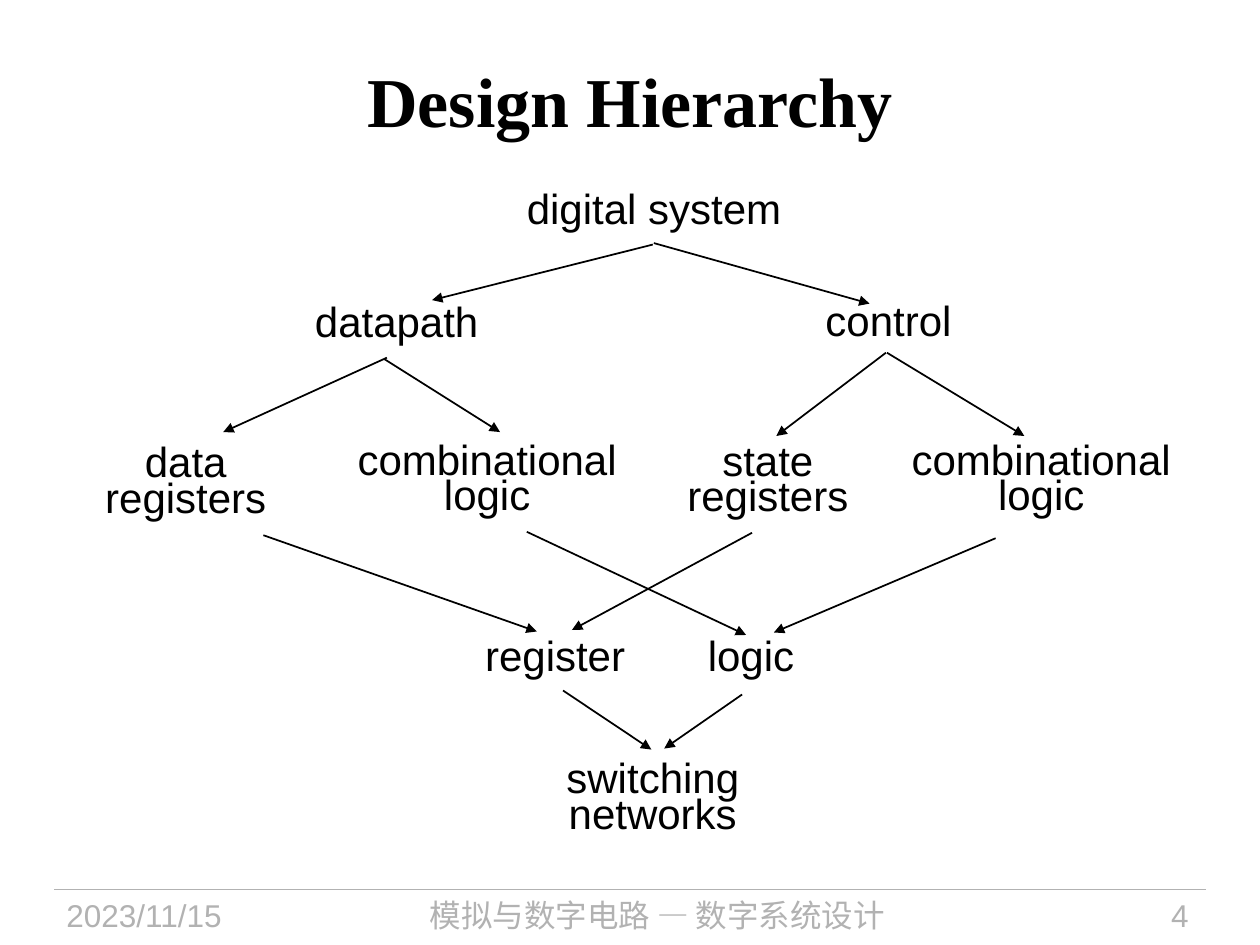
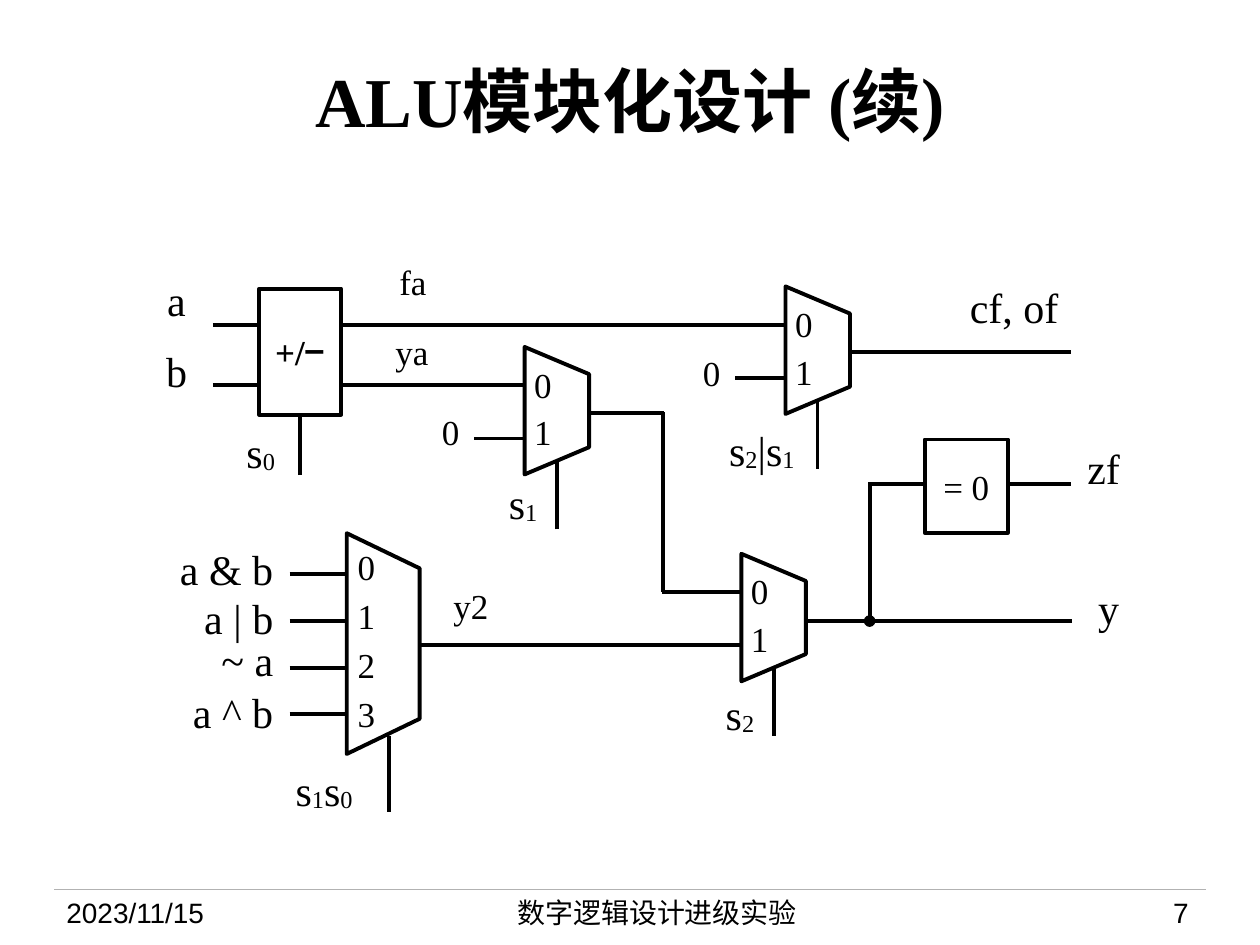
from itertools import groupby

from pptx import Presentation
from pptx.dml.color import RGBColor
from pptx.enum.shapes import MSO_CONNECTOR, MSO_SHAPE
from pptx.enum.text import MSO_ANCHOR, PP_ALIGN
from pptx.oxml.xmlchemy import OxmlElement
from pptx.util import Cm, Pt

STRAIGHT = MSO_CONNECTOR.STRAIGHT
RECTANGLE, TRAPEZOID = MSO_SHAPE.RECTANGLE, MSO_SHAPE.TRAPEZOID
TOP, MIDDLE = MSO_ANCHOR.TOP, MSO_ANCHOR.MIDDLE
LEFT, CENTER, RIGHT = PP_ALIGN.LEFT, PP_ALIGN.CENTER, PP_ALIGN.RIGHT

COLORS = {"ink": "000000", "muted": "B2B2B2", "paper": "FFFFFF"}
SANS, SERIF, CHINESE = "Arial", "Times New Roman", "Noto Sans CJK SC"
SUBSCRIPTS = {"₀": "0", "₁": "1", "₂": "2"}
GRID_CM = 2.54
TITLE_BOX = (0.5, 0.3, 9, 0.98)
FOOTER_RULE = (0.43, 7.06, 9.57, 7.06)
FOOTER_BOXES = [
    ((0.43, 7.06, 1.88, 0.44), LEFT),
    ((2.4, 7.06, 5.63, 0.44), CENTER),
    ((8.2, 7.06, 1.33, 0.44), RIGHT),
]
NODE_INSETS = (0.02, 0.03)
DEFAULT_INSETS = (0.1, 0.05)

HIERARCHY = {
    "title": "Design Hierarchy",
    "footer": ("2023/11/15", "模拟与数字电路 — 数字系统设计", "4"),
    "footer_format": {"size": 18, "color": "muted"},
    "footer_font": CHINESE,
}
HIERARCHY_NODES = [
    ("digital system", (4.16, 1.58, 2.4, 0.31)),
    ("datapath", (2.48, 2.48, 1.45, 0.34)),
    ("control", (6.53, 2.47, 1.11, 0.34)),
    ("data\nregisters", (0.56, 3.43, 1.83, 0.84)),
    ("combinational\nlogic", (2.68, 3.44, 2.37, 0.77)),
    ("state\nregisters", (5.26, 3.45, 1.67, 0.77)),
    ("combinational\nlogic", (7.08, 3.44, 2.37, 0.77)),
    ("register", (3.83, 5.13, 1.2, 0.31)),
    ("logic", (5.6, 5.13, 0.8, 0.31)),
    ("switching\nnetworks", (4.14, 6.03, 2.08, 0.65)),
]
HIERARCHY_ARROWS = [
    (5.18, 1.94, 3.43, 2.38), (5.19, 1.93, 6.9, 2.41),
    (3.07, 2.84, 1.77, 3.43), (3.05, 2.85, 3.97, 3.43),
    (7.03, 2.8, 6.16, 3.46), (7.04, 2.8, 8.13, 3.46),
    (2.09, 4.25, 4.26, 5.01), (4.18, 4.22, 5.92, 5.04),
    (5.97, 4.23, 4.54, 5), (7.9, 4.27, 6.14, 5.02),
    (4.47, 5.48, 5.17, 5.95), (5.89, 5.51, 5.27, 5.94),
]

ALU = {
    "title": "ALU模块化设计 (续)",
    "footer": ("2023/11/15", "数字逻辑设计进级实验", "7"),
    "footer_format": {"size": 16, "color": "ink"},
    "footer_font": SANS,
}
TWO_WAY = {
    "length": 1.01, "depth": 0.51, "slant": 0.422, "lead": 0.4,
    "first_input": -0.2, "input_step": 0.42,
    "digit_left": -0.18, "first_digit": -0.38, "digit_step": 0.38,
    "select": (0.4, 0.94), "select_shift": 0, "inputs": 2,
}
FOUR_WAY = {
    "length": 1.75, "depth": 0.58, "slant": 0.482, "lead": 0.45,
    "first_input": -0.55, "input_step": 0.37,
    "digit_left": -0.2, "first_digit": -0.78, "digit_step": 0.39,
    "select": (0.73, 1.33), "select_shift": 0.05, "inputs": 4,
}
MULTIPLEXERS = [
    (4.42, 3.26, TWO_WAY),
    (6.14, 4.9, TWO_WAY),
    (6.49, 2.78, TWO_WAY),
    (3.04, 5.11, FOUR_WAY),
]
WIRES = [
    (1.69, 2.58, 2.06, 2.58), (1.69, 3.06, 2.06, 3.06), (2.38, 3.77, 2.38, 3.28),
    (2.71, 2.58, 6.23, 2.58), (2.71, 3.06, 4.16, 3.06),
    (4.67, 3.28, 5.27, 3.28), (5.26, 3.27, 5.26, 4.7), (5.25, 4.7, 5.88, 4.7),
    (3.32, 5.12, 5.88, 5.12), (6.74, 2.79, 8.5, 2.79),
    (6.39, 4.93, 8.51, 4.93), (6.89, 3.84, 8.5, 3.84),
]
ZERO_FLAG_BRANCH = (6.9, 4.93, 6.9, 3.84)
BLOCKS = [
    ("+/−", (2.06, 2.29, 0.65, 1), True),
    ("= 0", (7.34, 3.49, 0.66, 0.74), False),
]
SIGNALS = [
    ("a", 1.23, 2.13, 0.37, 24), ("b", 1.22, 2.69, 0.37, 24),
    ("fa", 3.07, 2.02, 0.59, 20), ("ya", 3.04, 2.57, 0.68, 20),
    ("y2", 3.5, 4.59, 0.71, 20),
    ("0", 3.41, 3.21, 0.46, 20), ("0", 5.48, 2.74, 0.34, 20),
    ("s₀", 1.86, 3.33, 0.59, 24), ("s₁", 3.94, 3.74, 0.45, 24),
    ("s₂", 5.66, 5.41, 0.45, 24), ("s₂|s₁", 5.69, 3.32, 0.89, 24),
    ("s₁s₀", 2.25, 6.02, 1.07, 24),
    ("cf, of", 7.6, 2.18, 0.91, 24), ("zf", 8.53, 3.46, 0.46, 24),
    ("y", 8.62, 4.57, 0.37, 24),
]
OPERATIONS = [("a & b", 4.31), ("a | b", 4.7), ("~ a", 5.04), ("a ^ b", 5.45)]


def lengths(*values):
    return [Cm(round(value * GRID_CM, 2)) for value in values]


def rgb(color):
    return RGBColor.from_string(COLORS[color])


def character_kind(character):
    if character in SUBSCRIPTS:
        return "subscript"
    return {"\n": "break", "−": "minus"}.get(character, "plain")


def write(frame, text, font=SERIF, size=24, color="ink", bold=False, align=LEFT,
          anchor=TOP, insets=DEFAULT_INSETS, wrap=False, spacing=None):
    frame.word_wrap = wrap
    frame.vertical_anchor = anchor
    frame.margin_left = frame.margin_right = lengths(insets[0])[0]
    frame.margin_top = frame.margin_bottom = lengths(insets[1])[0]
    paragraph = frame.paragraphs[0]
    paragraph.alignment = align
    if spacing:
        paragraph.line_spacing = spacing
    for kind, characters in groupby(text, character_kind):
        if kind == "break":
            paragraph.add_line_break()
            continue
        run = paragraph.add_run()
        run.text = "".join(SUBSCRIPTS.get(character, character) for character in characters)
        run.font.size = Pt(size)
        run.font.bold = bold
        run.font.color.rgb = rgb(color)
        run.font.name = CHINESE if kind == "minus" else font
        properties = run.font._element
        east_asian = OxmlElement("a:ea")
        east_asian.set("typeface", CHINESE)
        properties.append(east_asian)
        if kind == "subscript":
            properties.set("baseline", "-5000")


def add_text(slide, text, box, **text_format):
    write(slide.shapes.add_textbox(*lengths(*box)).text_frame, text, **text_format)


def add_line(slide, ends, color="ink", width=2.25, head=None, tail=None):
    connector = slide.shapes.add_connector(STRAIGHT, *lengths(*ends))
    connector.line.color.rgb = rgb(color)
    connector.line.width = Pt(width)
    outline = connector.line._get_or_add_ln()
    for tag, kind in (("a:headEnd", head), ("a:tailEnd", tail)):
        if kind:
            end = OxmlElement(tag)
            end.set("type", kind)
            outline.append(end)
    connector._element.spPr.append(OxmlElement("a:effectLst"))


def add_outline(slide, preset, box, fill=None):
    shape = slide.shapes.add_shape(preset, *lengths(*box))
    shape.shadow.inherit = False
    if fill:
        shape.fill.solid()
        shape.fill.fore_color.rgb = rgb(fill)
    else:
        shape.fill.background()
    shape.line.color.rgb = rgb("ink")
    shape.line.width = Pt(2.25)
    return shape


def add_multiplexer(slide, center_x, center_y, kind):
    length, depth = kind["length"], kind["depth"]
    shape = add_outline(slide, TRAPEZOID,
                        (center_x - length / 2, center_y - depth / 2, length, depth))
    shape.rotation = 90
    shape.adjustments[0] = kind["slant"]
    edge = center_x - depth / 2
    for index in range(kind["inputs"]):
        input_y = center_y + kind["first_input"] + index * kind["input_step"]
        add_line(slide, (edge - kind["lead"], input_y, edge, input_y))
        digit_y = center_y + kind["first_digit"] + index * kind["digit_step"]
        add_text(slide, str(index), (center_x + kind["digit_left"], digit_y, 0.14, 0.34),
                 size=20, insets=(0, 0))
    start, end = kind["select"]
    select_x = center_x + kind["select_shift"]
    add_line(slide, (select_x, center_y + end, select_x, center_y + start))


def add_slide(presentation, content):
    slide = presentation.slides.add_slide(presentation.slide_layouts[5])
    title = slide.shapes.title
    title.left, title.top, title.width, title.height = lengths(*TITLE_BOX)
    write(title.text_frame, content["title"], size=40, bold=True, align=CENTER,
          anchor=MIDDLE, wrap=True)
    add_line(slide, FOOTER_RULE, color="muted", width=0.75)
    fonts = (SANS, content["footer_font"], SANS)
    for text, (box, align), font in zip(content["footer"], FOOTER_BOXES, fonts):
        add_text(slide, text, box, font=font, align=align, wrap=True,
                 **content["footer_format"])
    return slide


def build_hierarchy(presentation):
    slide = add_slide(presentation, HIERARCHY)
    for text, box in HIERARCHY_NODES:
        if "\n" in text:
            layout = {"align": CENTER, "anchor": MIDDLE, "spacing": 0.7}
        else:
            layout = {"spacing": Pt(17)}
        add_text(slide, text, box, font=SANS, insets=NODE_INSETS, **layout)
    for ends in HIERARCHY_ARROWS:
        add_line(slide, ends, width=1, tail="triangle")


def build_alu(presentation):
    slide = add_slide(presentation, ALU)
    for ends in WIRES:
        add_line(slide, ends)
    add_line(slide, ZERO_FLAG_BRANCH, head="oval")
    for multiplexer in MULTIPLEXERS:
        add_multiplexer(slide, *multiplexer)
    for text, box, bold in BLOCKS:
        block = add_outline(slide, RECTANGLE, box, fill="paper")
        write(block.text_frame, text, size=20, bold=bold, align=CENTER,
              anchor=MIDDLE, insets=(0, 0))
    for text, left, top, width, size in SIGNALS:
        add_text(slide, text, (left, top, width, size / 48), size=size)
    for text, top in OPERATIONS:
        add_text(slide, text, (1.33, top, 0.84, 0.4), align=RIGHT, insets=(0, 0))


def main():
    presentation = Presentation()
    presentation.slide_width, presentation.slide_height = Cm(25.4), Cm(19.05)
    build_hierarchy(presentation)
    build_alu(presentation)
    presentation.save("out.pptx")


if __name__ == "__main__":
    main()
